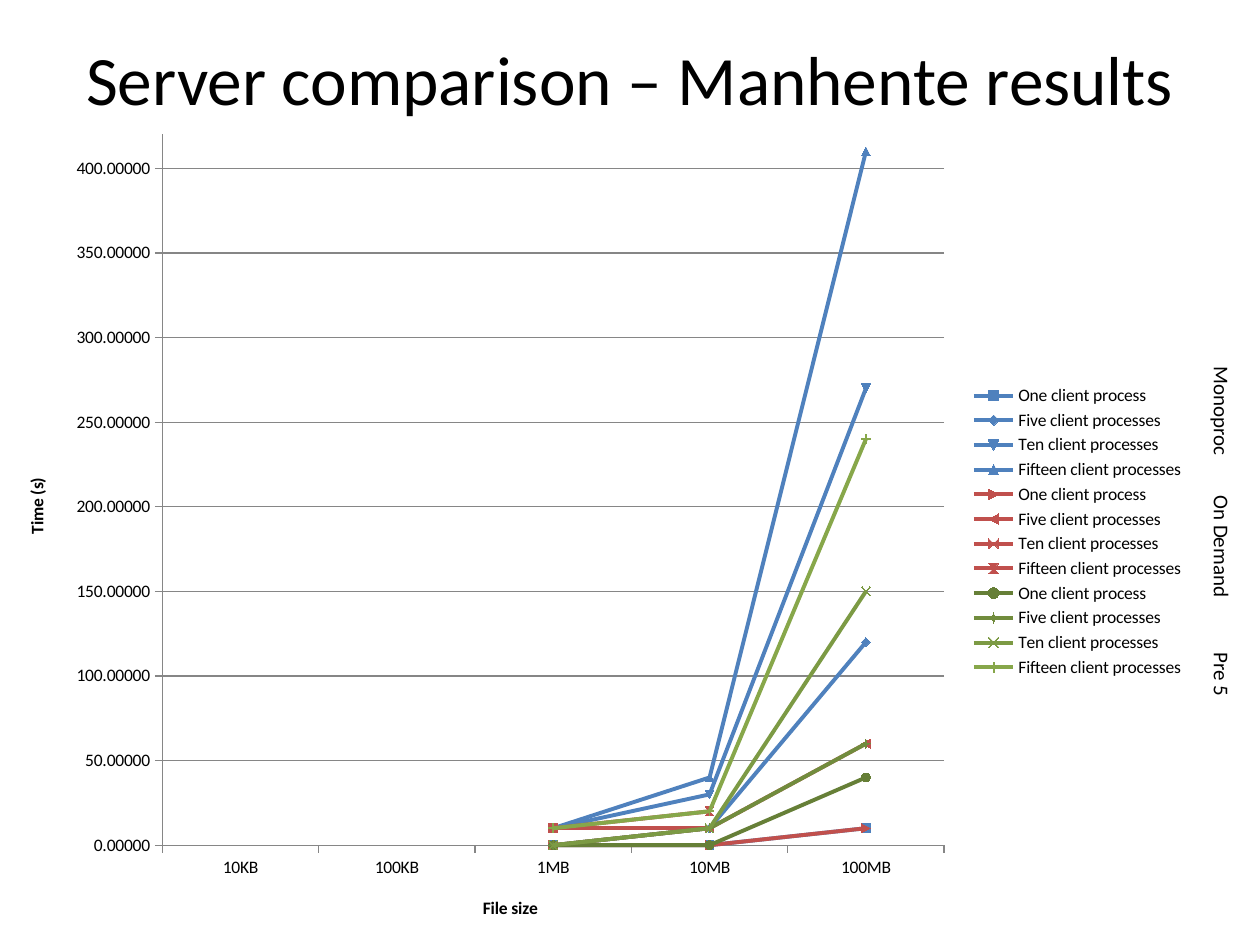
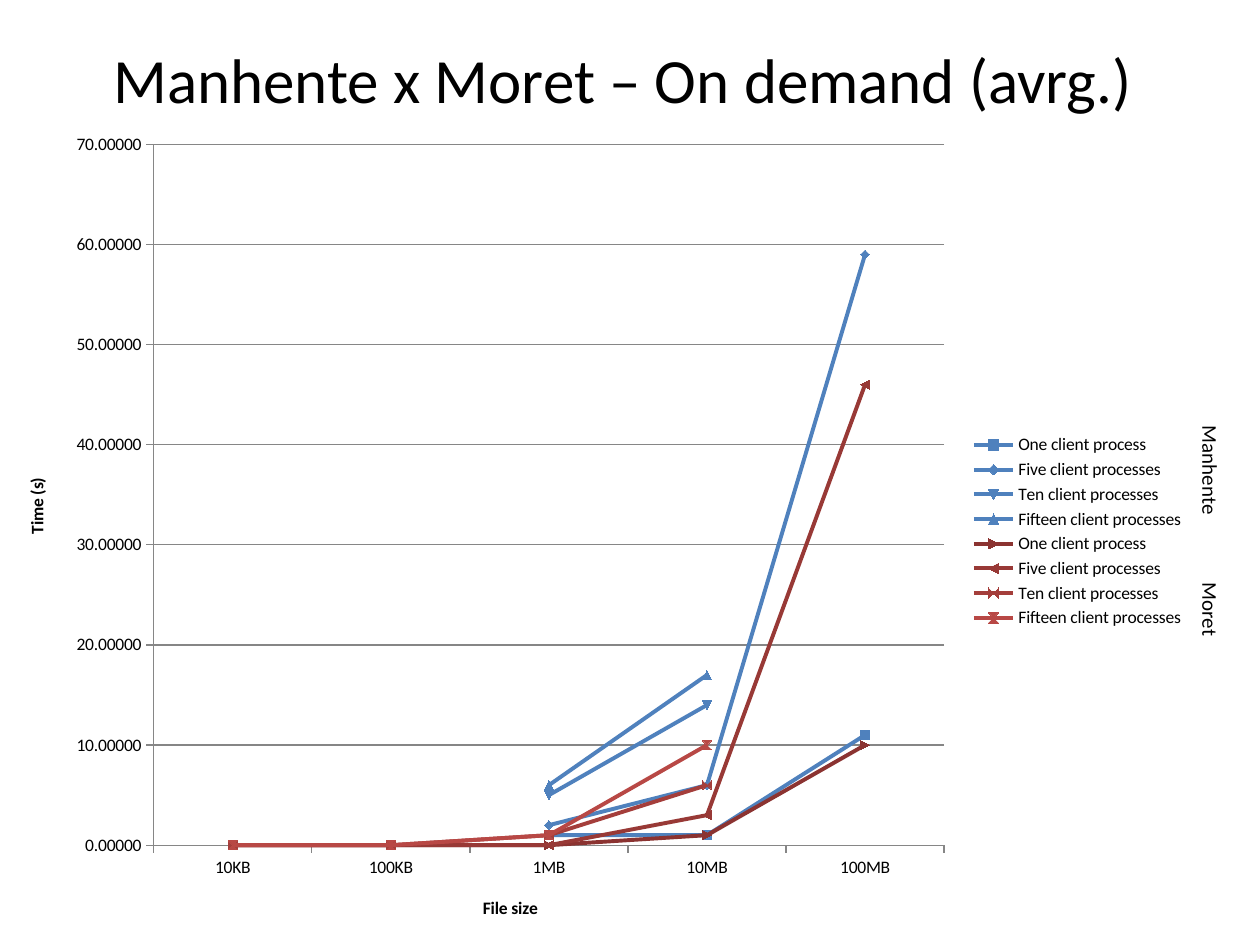
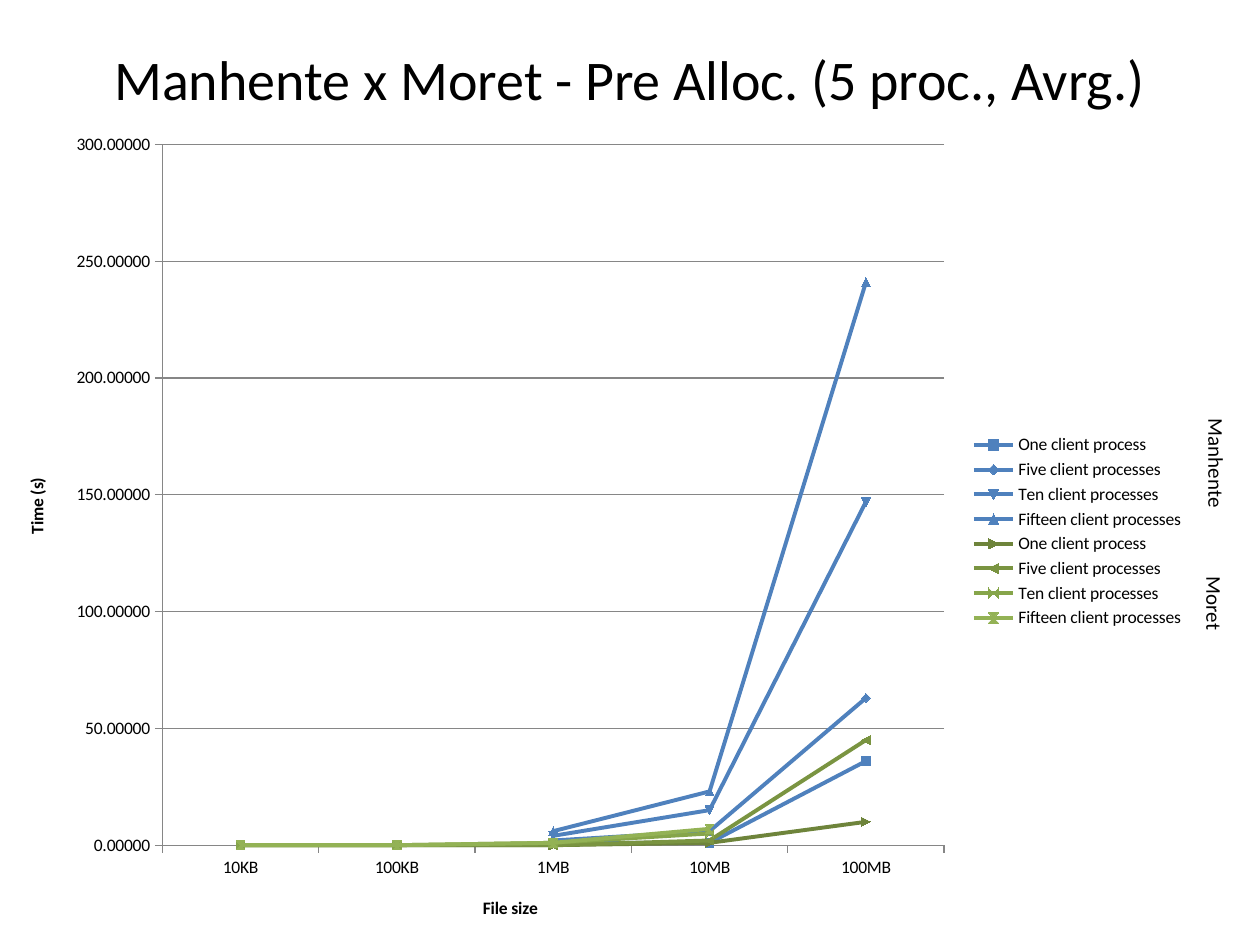
from pptx import Presentation
from pptx import util as u
from pptx.chart.data import CategoryChartData
from pptx.dml.color import RGBColor
from pptx.enum import chart as charts, text

PX_PER_INCH = 126
BLACK, GREY, BLUE, RED = "000000", "868686", "4F81BD", "C0504D"
DARK_REDS = ["8B3331", "983936", "A43E3B", "B84845"]
DARK_GREENS = ["667F37", "718C3D", "7C9A44", "87A74A"]
GREENS = ["6E843B", "7A9441", "86A54A", "93B255"]

FILE_SIZES = ["10KB", "100KB", "1MB", "10MB", "100MB"]
CLIENTS = ["One client process"] + [
    f"{count} client processes" for count in ("Five", "Ten", "Fifteen")
]
NUMBER_FORMAT = "#,##0.00000"

SERVER_MONOPROC = [
    (None, None, 0, 0, 10),
    (None, None, 0, 10, 120),
    (None, None, 10, 30, 270),
    (None, None, 10, 40, 410),
]
SERVER_ON_DEMAND = [
    (None, None, 0, 0, 10),
    (None, None, 0, 10, 60),
    (None, None, 10, 10, None),
    (None, None, 10, 20, None),
]
SERVER_PRE_FIVE = [
    (None, None, 0, 0, 40),
    (None, None, 0, 10, 60),
    (None, None, 0, 10, 150),
    (None, None, 10, 20, 240),
]
MANHENTE_ON_DEMAND = [
    (None, None, 1, 1, 11),
    (None, None, 2, 6, 59),
    (None, None, 5, 14, None),
    (None, None, 6, 17, None),
]
MANHENTE_PRE_FIVE = [
    (None, None, 1, 1, 36),
    (None, None, 2, 6, 63),
    (None, None, 4, 15, 147),
    (None, None, 6, 23, 241),
]
MORET_ON_DEMAND = [
    (0, 0, 0, 1, 10),
    (0, 0, 0, 3, 46),
    (0, 0, 1, 6, None),
    (0, 0, 1, 10, None),
]
MORET_PRE_FIVE = [
    (0, 0, 0, 1, 10),
    (0, 0, 0, 2, 45),
    (0, 0, 1, 5, None),
    (0, 0, 1, 7, None),
]


def px(length):
    return u.Emu(round(length * 914400 / PX_PER_INCH))


def color(value):
    return RGBColor.from_string(value)


def apply(target, values):
    for name, value in values.items():
        setattr(target, name, value)


class Slides:
    font = "Calibri"

    def __init__(self):
        self.deck = Presentation()
        apply(self.deck, {"slide_width": px(1260), "slide_height": px(945)})
        self.page = None

    def style(self, font, size, bold=False):
        apply(font, {"name": self.font, "size": u.Pt(size), "bold": bold})
        font.color.rgb = color(BLACK)

    def stroke(self, line, value, width):
        line.color.rgb = color(value)
        line.width = u.Pt(width)

    def title(self, words, size):
        self.page = self.deck.slides.add_slide(self.deck.slide_layouts[5])
        box = self.page.shapes.title
        apply(box, {"left": px(63), "top": px(38), "width": px(1134), "height": px(80)})
        frame = box.text_frame
        apply(frame, {
            "text": words,
            "auto_size": text.MSO_AUTO_SIZE.NONE,
            "vertical_anchor": text.MSO_ANCHOR.MIDDLE,
        })
        para = frame.paragraphs[0]
        para.alignment = text.PP_ALIGN.CENTER
        self.style(para.runs[0].font, size)

    def label(self, words, left, top, width, height, rotation=0):
        box = self.page.shapes.add_textbox(px(left), px(top), px(width), px(height))
        box.rotation = rotation
        frame = box.text_frame
        apply(frame, {
            "text": words,
            "word_wrap": False,
            "auto_size": text.MSO_AUTO_SIZE.SHAPE_TO_FIT_TEXT,
        })
        if not rotation:
            box.element.xpath(".//a:bodyPr")[0].set("vert", "vert")
        self.style(frame.paragraphs[0].runs[0].font, 12)

    def axis(self, axis, words):
        apply(axis, {
            "has_title": True,
            "major_tick_mark": charts.XL_TICK_MARK.OUTSIDE,
            "minor_tick_mark": charts.XL_TICK_MARK.NONE,
        })
        frame = axis.axis_title.text_frame
        frame.text = words
        self.style(frame.paragraphs[0].runs[0].font, 10, bold=True)
        self.stroke(axis.format.line, GREY, 0.75)

    def timings(self, groups, maximum=None):
        data = CategoryChartData(number_format=NUMBER_FORMAT)
        data.categories = FILE_SIZES
        shades = []
        for rows, colors in groups:
            for client, row in zip(CLIENTS, rows):
                data.add_series(client, row)
            shades += colors
        chart = self.page.shapes.add_chart(
            charts.XL_CHART_TYPE.LINE_MARKERS, 0, px(118), px(1197), px(827), data
        ).chart
        apply(chart, {"has_title": False, "has_legend": True})
        self.style(chart.font, 10)
        apply(chart.legend, {
            "position": charts.XL_LEGEND_POSITION.RIGHT,
            "include_in_layout": False,
        })
        chart.plots[0].vary_by_categories = False
        self.axis(chart.category_axis, "File size")
        times = chart.value_axis
        self.axis(times, "Time (s)")
        apply(times, {"has_major_gridlines": True, "minimum_scale": 0})
        if maximum:
            times.maximum_scale = maximum
        self.stroke(times.major_gridlines.format.line, GREY, 0.75)
        apply(times.tick_labels, {
            "number_format": NUMBER_FORMAT,
            "number_format_is_linked": False,
        })
        for series, shade in zip(chart.plots[0].series, shades):
            series.smooth = False
            self.stroke(series.format.line, shade, 2.25)
            marker = series.marker
            apply(marker, {"style": charts.XL_MARKER_STYLE.AUTOMATIC, "size": 5})
            marker.format.fill.solid()
            marker.format.fill.fore_color.rgb = color(shade)
            self.stroke(marker.format.line, shade, 0.75)
        orders = chart.element.xpath(".//c:ser/c:order")
        for position, order in enumerate(orders):
            order.set("val", str((position + len(CLIENTS)) % len(orders)))

    def save(self):
        self.deck.save("out.pptx")


def main():
    slides = Slides()

    slides.title("Server comparison – Manhente results", 39.6)
    slides.timings(
        [
            (SERVER_MONOPROC, [BLUE] * 4),
            (SERVER_ON_DEMAND, [RED] * 4),
            (SERVER_PRE_FIVE, DARK_GREENS),
        ],
        maximum=420,
    )
    for words, top, height in (
        ("Monoproc", 354, 103), ("On Demand", 483, 116), ("Pre 5", 640, 57)
    ):
        slides.label(words, 1191, top, 50, height)

    comparisons = [
        ("Manhente x Moret – On demand (avrg.) ", 36,
         MANHENTE_ON_DEMAND, MORET_ON_DEMAND, DARK_REDS, (1153, 452), (1171, 591)),
        ("Manhente x Moret - Pre Alloc. (5 proc., Avrg.)", 32,
         MANHENTE_PRE_FIVE, MORET_PRE_FIVE, GREENS, (1159, 445), (1175, 585)),
    ]
    for words, size, manhente, moret, shades, upper, lower in comparisons:
        slides.title(words, size)
        slides.timings([(manhente, [BLUE] * 4), (moret, shades)])
        slides.label("Manhente", *upper, 115, 38, rotation=90)
        slides.label("Moret", *lower, 79, 38, rotation=90)

    slides.save()


if __name__ == "__main__":
    main()
